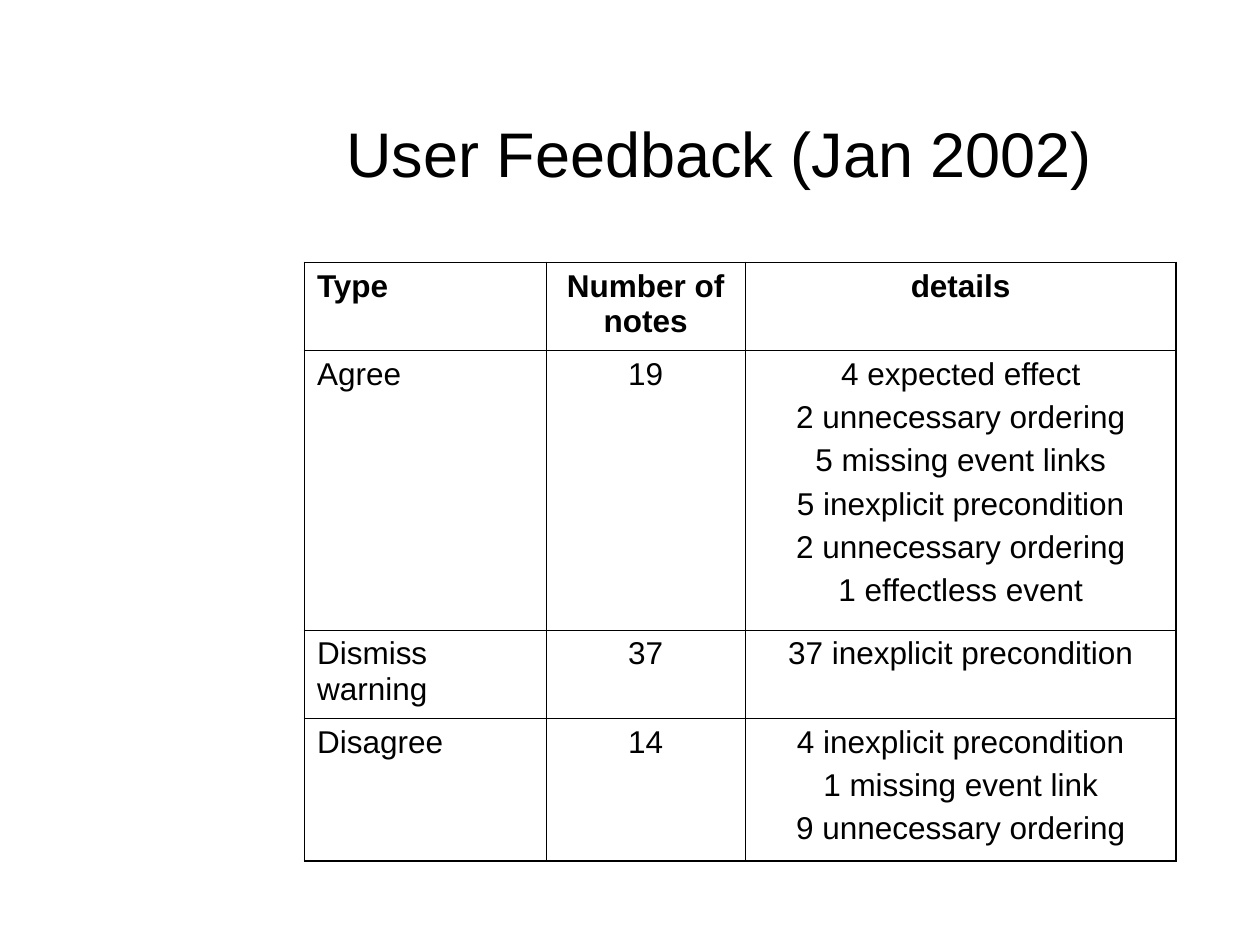
from lxml import etree
from pptx import Presentation
from pptx.dml.color import RGBColor
from pptx.enum.text import MSO_ANCHOR, PP_ALIGN
from pptx.oxml.ns import qn
from pptx.util import Inches, Pt

LEFT, CENTER = PP_ALIGN.LEFT, PP_ALIGN.CENTER
TOP, MIDDLE = MSO_ANCHOR.TOP, MSO_ANCHOR.MIDDLE

THEME = {
    "font": "Arial",
    "ink": "000000",
    "title_size": 36,
    "cell_size": 18,
    "paragraph_gap": 4.5,
    "outer_rule": 1.08,
    "inner_rule": 0.45,
}

FEEDBACK = [
    ("Type", "Number of notes", ["details"]),
    ("Agree", "19", [
        "4 expected effect",
        "2 unnecessary ordering",
        "5 missing event links",
        "5 inexplicit precondition",
        "2 unnecessary ordering",
        "1 effectless event",
    ]),
    ("Dismiss warning", "37", ["37 inexplicit precondition"]),
    ("Disagree", "14", [
        "4 inexplicit precondition",
        "1 missing event link",
        "9 unnecessary ordering",
    ]),
]
COLUMN_UNITS = [23, 19, 41]
ROW_UNITS = [8.4, 26.6, 8.4, 13.6]


def write_run(paragraph, text, size, align, bold=False):
    paragraph.alignment = align
    run = paragraph.add_run()
    run.text = text
    run.font.name = THEME["font"]
    run.font.size = Pt(size)
    run.font.bold = bold
    run.font.color.rgb = RGBColor.from_string(THEME["ink"])


def add_border(cell, side, width):
    rule = etree.SubElement(cell._tc.get_or_add_tcPr(), qn(f"a:{side}"), w=str(Pt(width)))
    fill = etree.SubElement(rule, qn("a:solidFill"))
    etree.SubElement(fill, qn("a:srgbClr"), val=THEME["ink"])


prs = Presentation()
prs.slide_width, prs.slide_height = Inches(10), Inches(7.5)
unit = prs.slide_width / 120
slide = prs.slides.add_slide(prs.slide_layouts[5])

title = slide.shapes.title
title.left, title.top, title.width, title.height = (int(n * unit) for n in (21, 7, 95, 15))
title.text_frame.vertical_anchor = MIDDLE
write_run(title.text_frame.paragraphs[0], "User Feedback (Jan 2002)", THEME["title_size"], CENTER)

table_box = [int(n * unit) for n in (29, 25, sum(COLUMN_UNITS), sum(ROW_UNITS))]
feedback = slide.shapes.add_table(len(ROW_UNITS), len(COLUMN_UNITS), *table_box).table
feedback.first_row = feedback.horz_banding = False
for column, units in zip(feedback.columns, COLUMN_UNITS):
    column.width = int(units * unit)
for row, units in zip(feedback.rows, ROW_UNITS):
    row.height = int(units * unit)

last_row, last_column = len(ROW_UNITS) - 1, len(COLUMN_UNITS) - 1
for r, (kind, count, details) in enumerate(FEEDBACK):
    for c, lines in enumerate(([kind], [count], details)):
        cell = feedback.cell(r, c)
        cell.vertical_anchor = TOP
        outer_sides = {"lnL": c == 0, "lnR": c == last_column, "lnT": r == 0, "lnB": r == last_row}
        for side, is_outer in outer_sides.items():
            add_border(cell, side, THEME["outer_rule" if is_outer else "inner_rule"])
        cell.fill.background()
        for i, line in enumerate(lines):
            frame = cell.text_frame
            paragraph = frame.add_paragraph() if i else frame.paragraphs[0]
            if c:
                paragraph.space_before = Pt(THEME["paragraph_gap"])
            write_run(paragraph, line, THEME["cell_size"], CENTER if c else LEFT, bold=r == 0)

prs.save("out.pptx")
